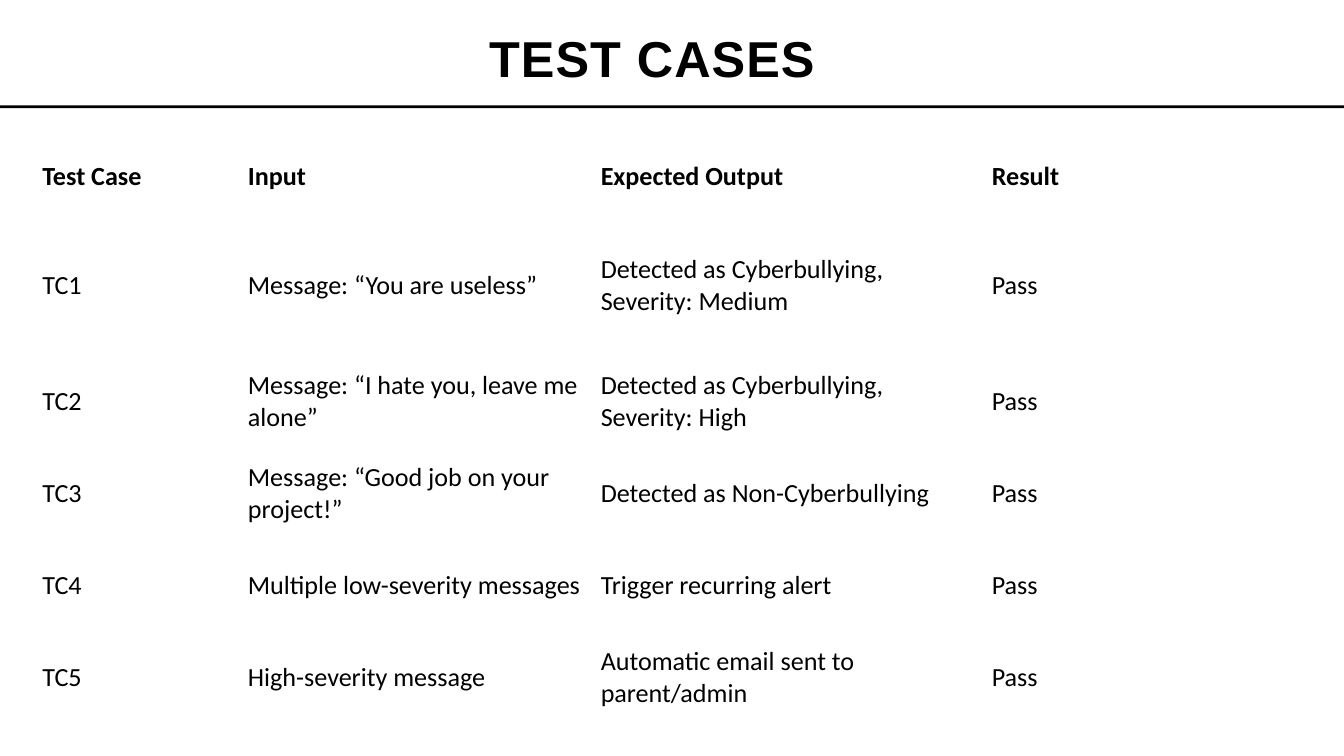
from dataclasses import dataclass

from pptx import Presentation
from pptx.dml.color import RGBColor
from pptx.enum.shapes import MSO_SHAPE
from pptx.enum.text import MSO_ANCHOR, MSO_AUTO_SIZE, PP_ALIGN
from pptx.util import Pt

EMU_PER_PX = 9144
TITLE_ONLY = 5


@dataclass(frozen=True)
class Theme:
    """Colours, typefaces and type sizes of the deck."""

    ink: RGBColor = RGBColor(0, 0, 0)
    paper: RGBColor = RGBColor(255, 255, 255)
    title_font: str = "Arial"
    body_font: str = "Calibri"
    title_size: int = 54
    body_size: int = 28


THEME = Theme()

COLUMN_WIDTHS = (306, 525, 582, 471)
ROW_HEIGHTS = (118, 207, 137, 137, 137, 137)
TEST_CASES = (
    ("Test Case", "Input", "Expected Output", "Result"),
    ("TC1", "Message: “You are useless”", "Detected as Cyberbullying, Severity: Medium", "Pass"),
    ("TC2", "Message: “I hate you, leave me alone”", "Detected as Cyberbullying, Severity: High", "Pass"),
    ("TC3", "Message: “Good job on your project!”", "Detected as Non-Cyberbullying", "Pass"),
    ("TC4", "Multiple low-severity messages", "Trigger recurring alert", "Pass"),
    ("TC5", "High-severity message", "Automatic email sent to parent/admin", "Pass"),
)


def px(length):
    """Turn a length in px into EMU."""
    return length * EMU_PER_PX


def style_font(para, name, size, bold):
    """Set the font of a whole paragraph."""
    para.font.name = name
    para.font.size = Pt(size)
    para.font.bold = bold
    para.font.color.rgb = THEME.ink


def add_header(page, left, top, width, height):
    """Place the title and the rule along the bottom of the header band."""
    rule_height = 4
    rule = page.shapes.add_shape(
        MSO_SHAPE.RECTANGLE, px(left), px(top + height - rule_height), px(width), px(rule_height)
    )
    rule.shadow.inherit = False
    rule.fill.solid()
    rule.fill.fore_color.rgb = THEME.ink
    rule.line.fill.background()

    title = page.shapes.title
    title.left, title.top = px(left + 307), px(top + 27)
    title.width, title.height = px(1314), px(105)
    frame = title.text_frame
    frame.margin_left = frame.margin_right = frame.margin_bottom = 0
    frame.margin_top = px(14)
    frame.vertical_anchor = MSO_ANCHOR.TOP
    frame.auto_size = MSO_AUTO_SIZE.SHAPE_TO_FIT_TEXT
    para = frame.paragraphs[0]
    span = para.add_run()
    span.text = "TEST CASES"
    span.font._element.set("spc", "110")
    para.alignment = PP_ALIGN.LEFT
    para.space_before = Pt(1)
    properties = para._p.get_or_add_pPr()
    properties.set("marL", str(px(421)))
    properties.set("indent", "0")
    style_font(para, THEME.title_font, THEME.title_size, True)


def add_case_table(page, left, top, width, height):
    """Place the table of test cases, with a bold first row."""
    table = page.shapes.add_table(
        len(TEST_CASES), len(COLUMN_WIDTHS), px(left), px(top), px(width), px(height)
    ).table
    table.horz_banding = False
    for column, column_width in zip(table.columns, COLUMN_WIDTHS):
        column.width = px(column_width)
    for row, row_height, texts in zip(table.rows, ROW_HEIGHTS, TEST_CASES):
        row.height = px(row_height)
        for cell, text in zip(row.cells, texts):
            cell.text = text
            cell.fill.background()
            cell.vertical_anchor = MSO_ANCHOR.MIDDLE
            is_header = texts is TEST_CASES[0]
            style_font(cell.text_frame.paragraphs[0], THEME.body_font, THEME.body_size, is_header)


def main():
    """Build the test cases slide and save the deck."""
    deck = Presentation()
    deck.slide_width, deck.slide_height = px(2000), px(1125)
    page = deck.slides.add_slide(deck.slide_layouts[TITLE_ONLY])
    page.background.fill.solid()
    page.background.fill.fore_color.rgb = THEME.paper
    add_header(page, 0, 0, 2000, 161)
    add_case_table(page, 53, 204, sum(COLUMN_WIDTHS), sum(ROW_HEIGHTS))
    deck.save("out.pptx")


if __name__ == "__main__":
    main()
